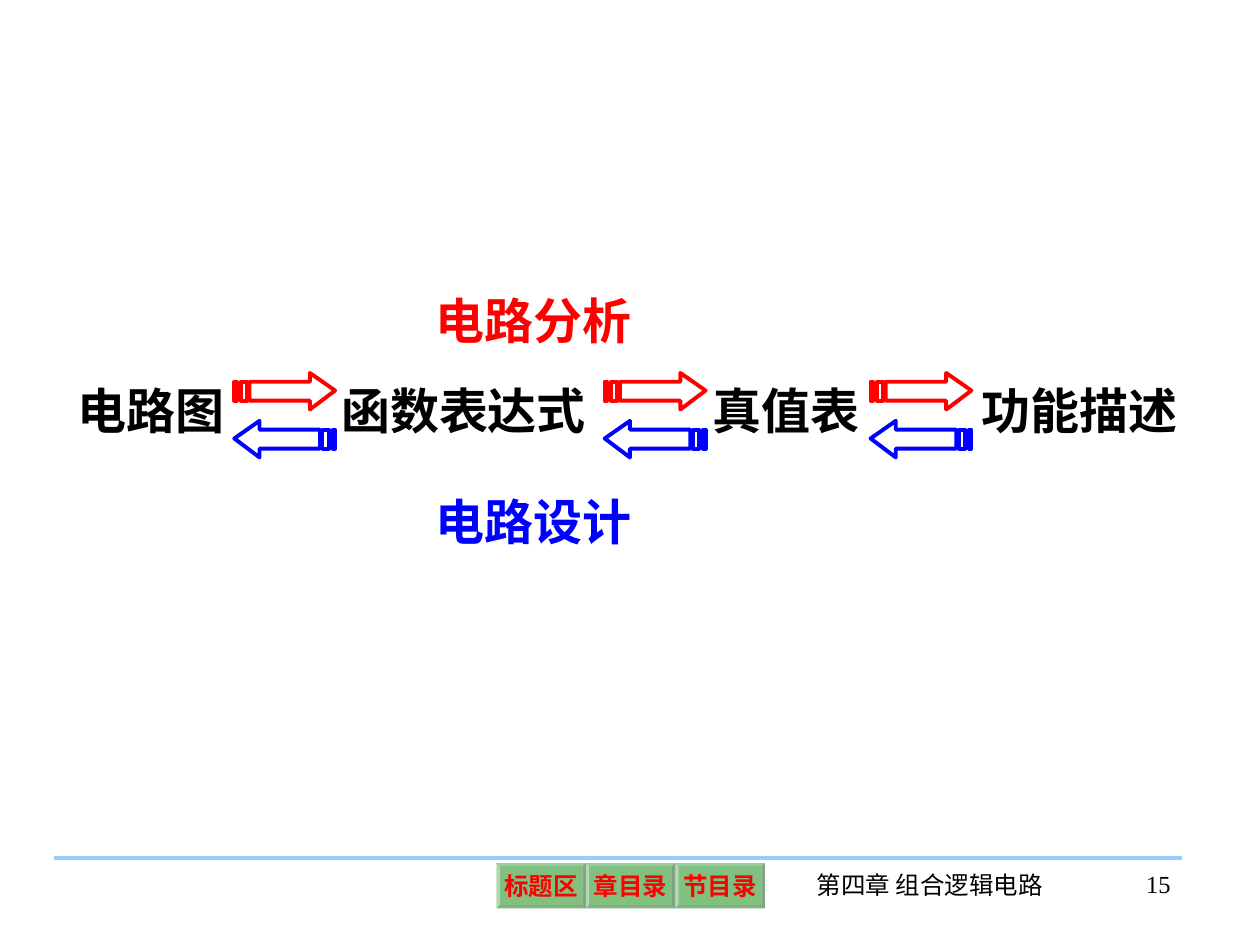
"""Build the slide on converting between circuit, expression, truth table and function."""
from lxml.etree import SubElement
from pptx import Presentation
from pptx.dml.color import RGBColor
from pptx.enum.shapes import MSO_CONNECTOR as Connector, MSO_SHAPE as Shape
from pptx.enum.text import MSO_ANCHOR as Anchor, PP_ALIGN as Align
from pptx.oxml.ns import qn
from pptx.util import Inches, Pt

COLORS = {"analysis": "FF0000", "design": "0000FF", "text": "000000",
          "rule": "99CCFF", "button": "008000"}
SERIF, SANS = "Times New Roman", "Noto Sans CJK SC"

STAGES = [("电路图", 0.52, 1.51), ("函数表达式", 2.61, 2.37),
          ("真值表", 5.56, 1.55), ("功能描述", 7.69, 1.9)]
STAGE_TOP, LABEL_HEIGHT = 2.97, 0.57
DIRECTIONS = [("电路分析", 2.26, "analysis", 296, False),
              ("电路设计", 3.85, "design", 334, True)]
DIRECTION_LEFT, DIRECTION_WIDTH = 3.36, 3.14
ARROW_LEFTS = [186, 480, 691]
ARROW_WIDTH = 80
ARROW_OUTLINES = [
    [(60, 0), (60, 7), (12, 7), (12, 22), (60, 22), (60, 29), (80, 14)],
    [(5, 7), (5, 22), (10, 22), (10, 7)],
    [(0, 7), (0, 22), (2, 22), (2, 7)],
]
BUTTONS = ["标题区", "章目录", "节目录"]
BUTTON_LEFT, BUTTON_TOP, BUTTON_WIDTH, BUTTON_HEIGHT = 3.94, 6.85, 0.71, 0.36
FOOTERS = [("第四章 组合逻辑电路", 6.24, 6.86, 2.28, Align.CENTER),
           ("15", 8.53, 6.85, 0.86, Align.RIGHT)]
FOOTER_HEIGHT = 0.5
RULE_LEFT, RULE_RIGHT, RULE_TOP = 0.43, 9.38, 6.81


def color(name):
    return RGBColor.from_string(COLORS[name])


def write(shape, text, size, color_name, font=SERIF, bold=False, align=Align.LEFT):
    paragraph = shape.text_frame.paragraphs[0]
    paragraph.alignment = align
    run = paragraph.add_run()
    run.text = text
    run.font.size, run.font.bold, run.font.name = Pt(size), bold, font
    run.font.color.rgb = color(color_name)
    SubElement(run.font._element, qn("a:ea")).set("typeface", SANS)


def add_label(slide, text, left, top, width, height, *style, **options):
    box = slide.shapes.add_textbox(*map(Inches, (left, top, width, height)))
    box.text_frame.word_wrap = True
    write(box, text, *style, **options)


def add_arrow(slide, left, top, color_name, reverse):
    def place(point):
        x, y = point
        return left + (ARROW_WIDTH - x if reverse else x), top + y

    outlines = [[place(point) for point in outline] for outline in ARROW_OUTLINES]
    builder = slide.shapes.build_freeform(*outlines[0][0], scale=Inches(0.01))
    for index, outline in enumerate(outlines):
        if index:
            builder.move_to(*outline[0])
        builder.add_line_segments(outline[1:], close=True)
    arrow = builder.convert_to_shape()
    arrow.shadow.inherit = False
    arrow.fill.background()
    arrow.line.color.rgb = color(color_name)
    arrow.line.width = Pt(2.25)


def add_button(slide, text, column):
    left = BUTTON_LEFT + column * BUTTON_WIDTH
    button = slide.shapes.add_shape(
        Shape.BEVEL, *map(Inches, (left, BUTTON_TOP, BUTTON_WIDTH, BUTTON_HEIGHT)))
    button.adjustments[0] = 0.07
    button.shadow.inherit = False
    button.line.fill.background()
    button.fill.solid()
    button.fill.fore_color.rgb = color("button")
    fill_color = button._element.spPr.find(qn("a:solidFill"))[0]
    SubElement(fill_color, qn("a:alpha")).set("val", "49000")
    frame = button.text_frame
    frame.word_wrap = False
    frame.vertical_anchor = Anchor.MIDDLE
    frame.margin_left = frame.margin_right = Inches(0.04)
    frame.margin_top = frame.margin_bottom = Inches(0.04)
    write(button, text, 14, "analysis", bold=True, align=Align.CENTER)


def add_rule(slide):
    rule = slide.shapes.add_connector(
        Connector.STRAIGHT, *map(Inches, (RULE_LEFT, RULE_TOP, RULE_RIGHT, RULE_TOP)))
    rule.line.color.rgb = color("rule")
    rule.line.width = Pt(2.25)
    SubElement(rule._element.spPr, qn("a:effectLst"))


def main():
    presentation = Presentation()
    presentation.slide_width, presentation.slide_height = Inches(10), Inches(7.5)
    slide = presentation.slides.add_slide(presentation.slide_layouts[6])
    add_rule(slide)
    for text, left, top, width, align in FOOTERS:
        add_label(slide, text, left, top, width, FOOTER_HEIGHT, 14, "text", align=align)
    for column, text in enumerate(BUTTONS):
        add_button(slide, text, column)
    for text, left, width in STAGES:
        add_label(slide, text, left, STAGE_TOP, width, LABEL_HEIGHT,
                  28, "text", font=SANS, bold=True)
    for text, top, color_name, arrow_top, reverse in DIRECTIONS:
        add_label(slide, text, DIRECTION_LEFT, top, DIRECTION_WIDTH, LABEL_HEIGHT,
                  28, color_name, bold=True)
        for left in ARROW_LEFTS:
            add_arrow(slide, left, arrow_top, color_name, reverse)
    presentation.save("out.pptx")


if __name__ == "__main__":
    main()
